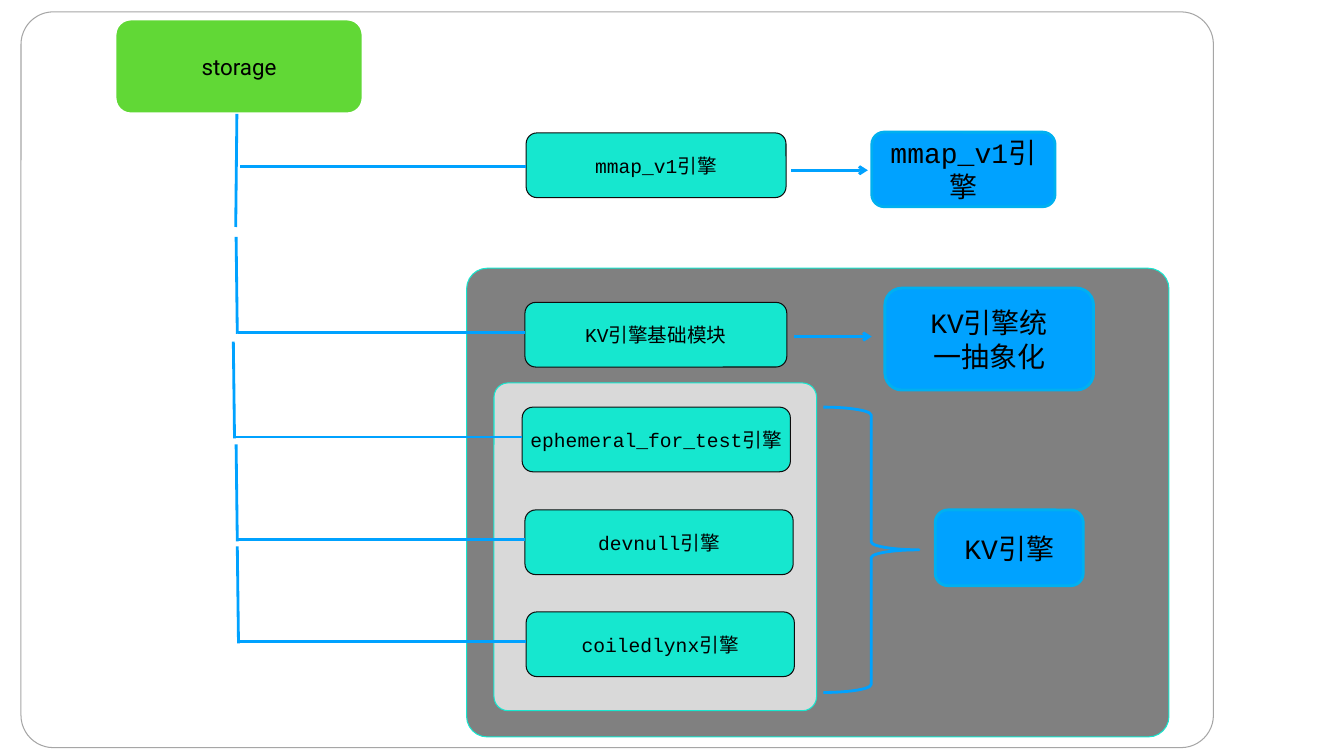
from lxml import etree
from pptx import Presentation
from pptx.dml.color import RGBColor
from pptx.enum import shapes, text
from pptx.oxml import ns
from pptx.util import Cm, Pt

COLORS = {
    "white": "FFFFFF", "black": "000000", "frame": "A6A6A6", "panel": "808080",
    "group": "D9D9D9", "teal": "16E7CF", "edge": "0D0D0D", "green": "61D836",
    "blue": "00A2FF", "sky": "00B0F0",
}
MONO = "Courier New"
ENGINE_HEIGHT = 1.63


def color(name):
    return RGBColor.from_string(COLORS[name])


def add_box(s, box, fill, line, width=0.75, radius=0.167):
    sp = s.shapes.add_shape(shapes.MSO_SHAPE.ROUNDED_RECTANGLE, *map(Cm, box))
    sp.adjustments[0] = radius
    sp.shadow.inherit = False
    sp.fill.solid()
    sp.fill.fore_color.rgb = color(fill)
    sp.line.color.rgb = color(line)
    sp.line.width = Pt(width)
    return sp


def add_label(sp, words, size, font=MONO):
    tf = sp.text_frame
    tf.text = words
    tf.word_wrap = True
    tf.vertical_anchor = text.MSO_ANCHOR.MIDDLE
    tf.margin_left = tf.margin_right = tf.margin_top = tf.margin_bottom = Cm(0.1)
    for p in tf.paragraphs:
        p.alignment = text.PP_ALIGN.CENTER
        for r in p.runs:
            r.font.size = Pt(size)
            r.font.name = font
            r.font.color.rgb = color("black")


def add_line(s, x1, y1, x2, y2, arrow=False):
    c = s.shapes.add_connector(
        shapes.MSO_CONNECTOR.STRAIGHT, Cm(x1), Cm(y1), Cm(x2), Cm(y2))
    c.line.color.rgb = color("blue")
    c.line.width = Pt(2)
    if arrow:
        etree.SubElement(c.line._get_or_add_ln(), ns.qn("a:tailEnd"), type="arrow")
    etree.SubElement(c._element.spPr, ns.qn("a:effectLst"))


def add_engine(s, words, left, top, width):
    sp = add_box(s, (left, top, width, ENGINE_HEIGHT), "teal", "edge")
    add_label(sp, words, 14)


def add_branch(s, left, top):
    trunk = left - 7.28
    y = top + 0.75
    add_line(s, trunk, top - 1.65, trunk + 0.03, y + 0.04)
    add_line(s, trunk + 0.05, y, left, y)


def add_note(s, words, *box):
    add_label(add_box(s, box, "blue", "sky", 2), words, 20)


def add_brace(s, *box):
    sp = s.shapes.add_shape(shapes.MSO_SHAPE.RIGHT_BRACE, *map(Cm, box))
    sp.shadow.inherit = False
    sp.fill.background()
    sp.line.color.rgb = color("blue")
    sp.line.width = Pt(2)


def main():
    prs = Presentation()
    prs.slide_width, prs.slide_height = Cm(33.87), Cm(19.05)
    s = prs.slides.add_slide(prs.slide_layouts[6])

    add_box(s, (0.53, 0.3, 30.05, 18.54), "white", "frame", radius=0.044)
    add_box(s, (11.76, 6.76, 17.7, 11.81), "panel", "teal", radius=0.044)
    add_box(s, (12.45, 9.65, 8.13, 8.26), "group", "teal", radius=0.044)
    storage = add_box(s, (2.9, 0.48, 6.25, 2.39), "green", "white", 2)
    add_label(storage, "storage", 16, "Roboto")

    add_engine(s, "mmap_v1引擎", 13.26, 3.35, 6.55)
    add_line(s, 5.97, 2.87, 5.94, 5.72)
    add_line(s, 6.05, 4.19, 13.26, 4.19)

    kv_engines = [
        ("KV引擎基础模块", 13.23, 7.62, 6.6),
        ("ephemeral_for_test引擎", 13.16, 10.26, 6.76),
        ("devnull引擎", 13.23, 12.85, 6.76),
        ("coiledlynx引擎", 13.26, 15.42, 6.76),
    ]
    for words, left, top, width in kv_engines:
        add_engine(s, words, left, top, width)
        add_branch(s, left, top)

    add_brace(s, 20.75, 10.26, 2.41, 7.19)
    add_line(s, 20.02, 8.48, 21.97, 8.48, arrow=True)
    add_line(s, 19.94, 4.29, 21.87, 4.29, arrow=True)
    add_note(s, "KV引擎", 23.57, 12.85, 3.73, 1.91)
    add_note(s, "KV引擎统\n一抽象化", 22.3, 7.26, 5.26, 2.57)
    add_note(s, "mmap_v1引擎", 21.97, 3.33, 4.62, 1.88)

    prs.save("out.pptx")


main()
